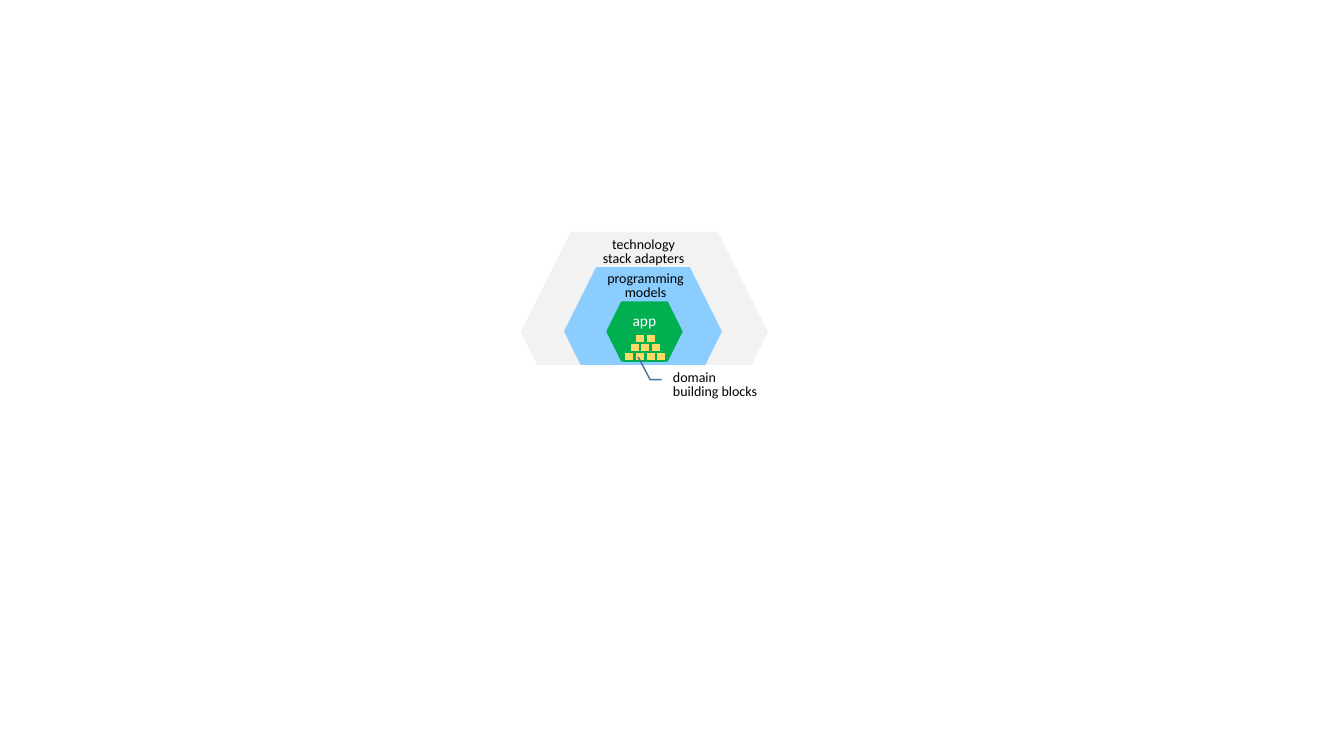
"""Draw nested hexagons of an application and its domain building blocks."""
from dataclasses import dataclass, field
from typing import Any

from pptx import Presentation
from pptx import util as u
from pptx.dml.color import RGBColor
from pptx.enum import shapes, text

PX = 914400 / 100.8
KIND = shapes.MSO_SHAPE
GREEN, WHITE, BLACK = "00B050", "FFFFFF", "000000"
Box = tuple[int, int, int, int]


@dataclass
class Part:
    """A filled shape with an optional outline."""

    kind: Any
    box: Box
    fill: str
    line: str = ""
    adj: tuple[float, ...] = ()


@dataclass
class Label:
    """Wording with its run, paragraph and frame formats."""

    words: str
    size: int = 10
    tint: str = BLACK
    para: dict[str, Any] = field(default_factory=dict)
    frame: dict[str, Any] = field(default_factory=dict)


def scale(box: Box) -> list[u.Emu]:
    """Turn px into EMU."""
    return [u.Emu(round(n * PX)) for n in box]


def paint(color: Any, tint: str) -> None:
    """Set a colour from a hex string."""
    color.rgb = RGBColor.from_string(tint)


def apply(target: Any, values: dict[str, Any]) -> None:
    """Set each named attribute on the target."""
    for name, value in values.items():
        setattr(target, name, value)


def draw(group: Any, part: Part) -> Any:
    """Add one filled shape."""
    shape = group.shapes.add_shape(part.kind, *scale(part.box))
    shape.shadow.inherit = False
    for i, value in enumerate(part.adj):
        shape.adjustments[i] = value
    shape.fill.solid()
    paint(shape.fill.fore_color, part.fill)
    if part.line:
        paint(shape.line.color, part.line)
        shape.line.width = u.Pt(1)
    else:
        shape.line.fill.background()
    return shape


def write(shape: Any, label: Label) -> None:
    """Put a label in a shape."""
    frame = shape.text_frame
    apply(frame, {"word_wrap": True} | label.frame)
    para = frame.paragraphs[0]
    para.text = label.words
    apply(para, label.para)
    apply(para.font, {"name": "Calibri", "size": u.Pt(label.size)})
    for run in para.runs:
        apply(run.font, {"name": "Calibri", "size": u.Pt(label.size)})
        paint(run.font.color, label.tint)


def main() -> None:
    """Build and save the slide."""
    deck = Presentation()
    deck.slide_width, deck.slide_height = scale((1344, 756, 0, 0))[:2]
    slide = deck.slides.add_slide(deck.slide_layouts[6])
    group = slide.shapes.add_group_shape()

    top, mid = text.MSO_ANCHOR.TOP, text.MSO_ANCHOR.MIDDLE
    left, center = text.PP_ALIGN.LEFT, text.PP_ALIGN.CENTER
    flush = {f"margin_{side}": 0 for side in ("left", "top", "right", "bottom")}
    grow = {"auto_size": text.MSO_AUTO_SIZE.SHAPE_TO_FIT_TEXT}
    tight = {"line_spacing": 0.8}

    draw(group, Part(KIND.HEXAGON, (521, 232, 247, 200), "F2F2F2"))
    draw(group, Part(KIND.HEXAGON, (564, 267, 158, 129), "8BCDFF"))
    app = draw(group, Part(KIND.HEXAGON, (607, 302, 75, 59), GREEN, GREEN))
    write(app, Label("app", 11, WHITE, {"alignment": center},
                     flush | {"vertical_anchor": top}))

    for row, count in enumerate((2, 3, 4)):
        for col in range(count):
            x = 646 + (2 * col - count) * 16 // 3
            brick = (x, 334 + 9 * row, 10, 9)
            draw(group, Part(KIND.RECTANGLE, brick, "FFD966", GREEN))

    for box, words in (((576, 268, 139, 55), "programming models"),
                       ((574, 234, 139, 55), "technology\vstack adapters")):
        note = group.shapes.add_textbox(*scale(box))
        write(note, Label(words, para=tight | {"alignment": center}, frame=grow))

    draw(group, Part(KIND.RECTANGLE, (534, 366, 228, 76), WHITE, WHITE))
    bend = (0.188, -0.083, 0.188, -0.167, -0.998, -0.254)
    blocks = draw(group, Part(KIND.LINE_CALLOUT_2_NO_BORDER,
                              (673, 376, 137, 19), WHITE, "43739E", bend))
    write(blocks, Label("domain \vbuilding blocks",
                        para=tight | {"alignment": left},
                        frame=flush | {"vertical_anchor": mid}))
    deck.save("out.pptx")


if __name__ == "__main__":
    main()
